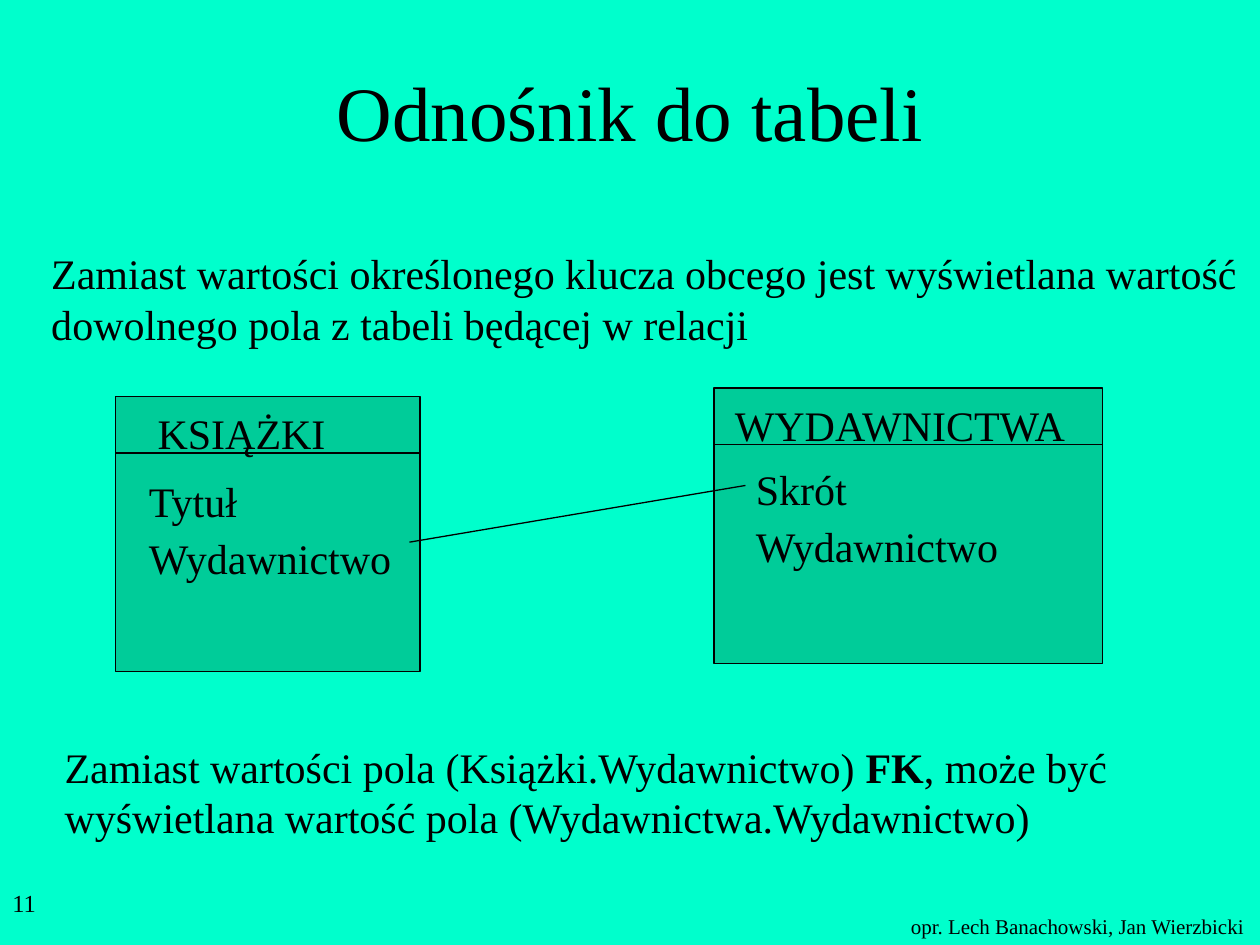
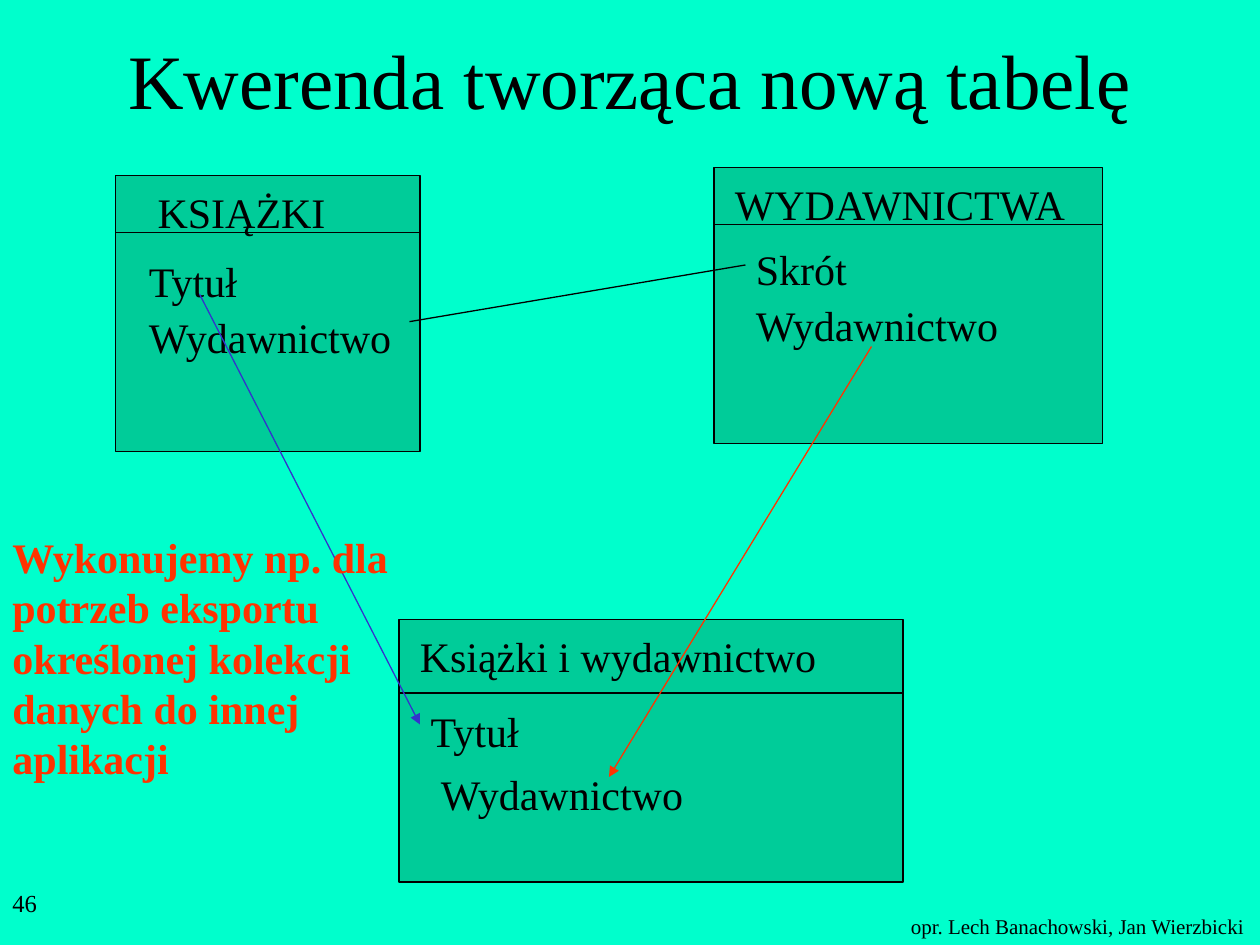
from lxml import etree
from pptx import Presentation
from pptx.dml.color import RGBColor
from pptx.enum.shapes import MSO_CONNECTOR, MSO_SHAPE
from pptx.enum.text import MSO_ANCHOR, PP_ALIGN
from pptx.oxml.ns import qn
from pptx.util import Pt

LINE = MSO_CONNECTOR.STRAIGHT
RECTANGLE = MSO_SHAPE.RECTANGLE
TOP, MIDDLE = MSO_ANCHOR.TOP, MSO_ANCHOR.MIDDLE
LEFT, CENTER = PP_ALIGN.LEFT, PP_ALIGN.CENTER

COLORS = {
    "background": "00FFCC",
    "table": "00CC99",
    "ink": "000000",
    "title_flow": "3333CC",
    "accent": "FF3300",
}
FONT = "Times New Roman"
AUTHORS = "opr. Lech Banachowski, Jan Wierzbicki"
FIELD_WIDTHS = {"Tytuł": 74, "Skrót": 74, "Wydawnictwo": 158}
FIELD_HEIGHT = 36


class Deck:
    def __init__(self):
        self.presentation = Presentation()
        self.presentation.slide_width = Pt(720)
        self.presentation.slide_height = Pt(540)
        self.slide = None

    def color(self, name):
        return RGBColor.from_string(COLORS[name])

    def start_slide(self, title, number, title_top, title_height):
        self.slide = self.presentation.slides.add_slide(self.presentation.slide_layouts[6])
        background = self.slide.background.fill
        background.solid()
        background.fore_color.rgb = self.color("background")
        self.text(AUTHORS, 513.4, 518.4, 206.6, 21.6, size=12)
        self.text(title, 54, title_top, 612, title_height, size=44,
                  align=CENTER, anchor=MIDDLE)
        self.text(number, 0, 504, 150, 36, size=14)

    def text(self, content, left, top, width, height, size=24, color="ink",
             bold=False, align=LEFT, anchor=TOP):
        """Text between asterisks is set in bold."""
        box = self.slide.shapes.add_textbox(Pt(left), Pt(top), Pt(width), Pt(height))
        frame = box.text_frame
        frame.word_wrap = True
        frame.vertical_anchor = anchor
        paragraph = frame.paragraphs[0]
        paragraph.alignment = align
        paragraph.font.name = FONT
        paragraph.font.size = Pt(size)
        paragraph.font.color.rgb = self.color(color)
        paragraph.font.bold = bold
        for part_index, part in enumerate(content.split("*")):
            for line_index, line in enumerate(part.split("\n")):
                if line_index:
                    paragraph.add_line_break()
                run = paragraph.add_run()
                run.text = line
                if part_index % 2:
                    run.font.bold = True

    def line(self, start, end, color="ink", arrow=False):
        connector = self.slide.shapes.add_connector(LINE, *map(Pt, start + end))
        connector.line.width = Pt(0.75)
        connector.line.color.rgb = self.color(color)
        if arrow:
            outline = connector.line._get_or_add_ln()
            etree.SubElement(outline, qn("a:tailEnd"), type="triangle")
        etree.SubElement(connector._element.spPr, qn("a:effectLst"))

    def table_diagram(self, name, left, top, width, height, header, name_box, fields):
        frame = self.slide.shapes.add_shape(RECTANGLE, Pt(left), Pt(top), Pt(width), Pt(height))
        frame.shadow.inherit = False
        frame.fill.solid()
        frame.fill.fore_color.rgb = self.color("table")
        frame.line.color.rgb = self.color("ink")
        frame.line.width = Pt(0.75)
        self.line((left, top + header), (left + width, top + header))
        indent, name_width = name_box
        self.text(name, left + indent, top + 2.7, name_width, FIELD_HEIGHT)
        for field, dx, dy in fields:
            self.text(field, left + dx, top + dy, FIELD_WIDTHS[field], FIELD_HEIGHT)

    def relation(self, top):
        self.table_diagram("KSIĄŻKI", 66, top + 4.6, 174, 157.5, 32.4, (16.9, 118),
                           [("Tytuł", 12, 42), ("Wydawnictwo", 12, 74.2)])
        self.table_diagram("WYDAWNICTWA", 408, top, 222, 157.5, 32.4, (4.8, 211),
                           [("Skrót", 16.8, 39.8), ("Wydawnictwo", 16.8, 72.1)])
        self.line((234, top + 88), (426, top + 55.6))


def build_reference_slide(deck):
    deck.start_slide("Odnośnik do tabeli", "11", 24, 78)
    deck.text("Zamiast wartości określonego klucza obcego jest wyświetlana wartość\n"
              "dowolnego pola z tabeli będącej w relacji", 22.2, 138, 697.8, 65)
    deck.relation(221.8)
    deck.text("Zamiast wartości pola (Książki.Wydawnictwo) *FK*, może być\n"
              "wyświetlana wartość pola (Wydawnictwa.Wydawnictwo)", 29.8, 420, 622, 65)


def build_new_table_slide(deck):
    deck.start_slide("Kwerenda tworząca nową tabelę", "46", 0, 90)
    deck.relation(95.8)
    deck.table_diagram("Książki i wydawnictwo", 228, 354, 288, 150, 42, (4.8, 246),
                       [("Tytuł", 11, 45.6), ("Wydawnictwo", 16.8, 81.6)])
    deck.line((114, 168), (240, 414), "title_flow", arrow=True)
    deck.line((498, 198), (348, 444), "accent", arrow=True)
    deck.text("Wykonujemy np. dla\npotrzeb eksportu\nokreślonej kolekcji\n"
              "danych do innej\naplikacji", 0, 300, 234, 151, color="accent", bold=True)


def main():
    deck = Deck()
    build_reference_slide(deck)
    build_new_table_slide(deck)
    deck.presentation.save("out.pptx")


if __name__ == "__main__":
    main()
